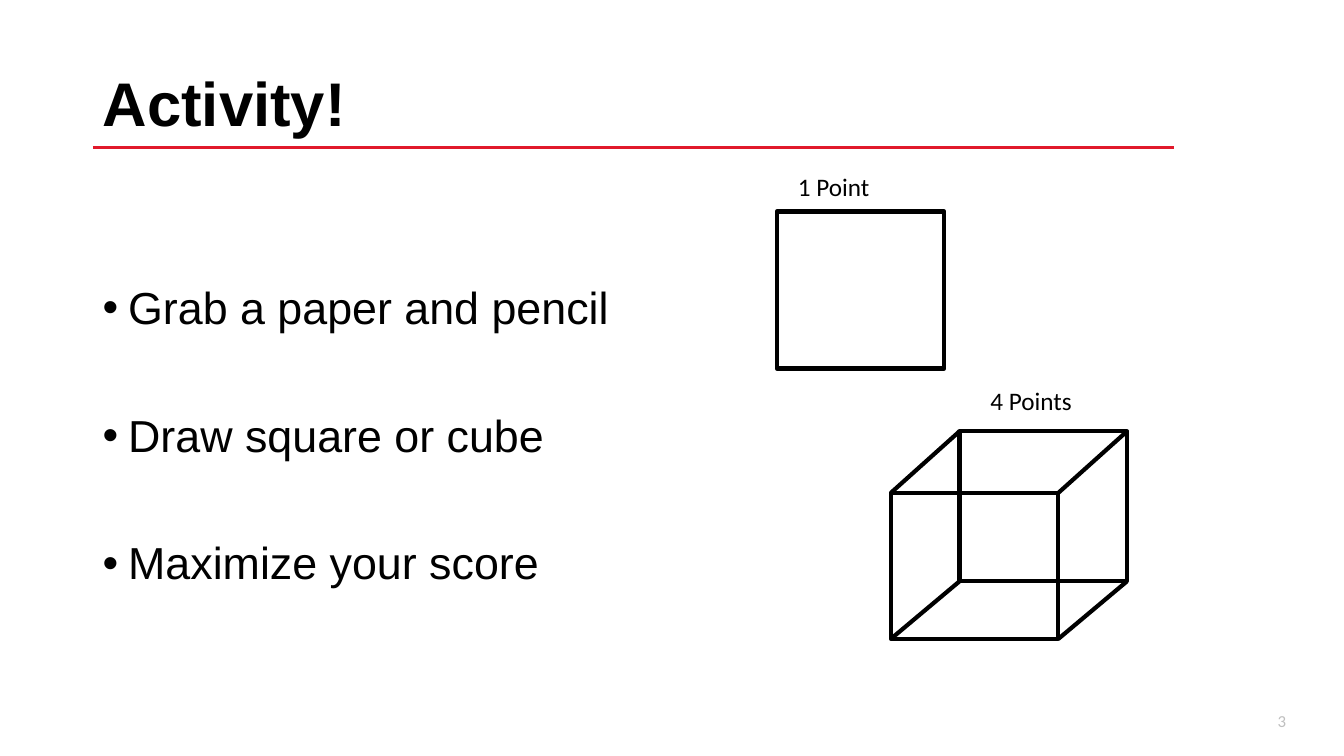
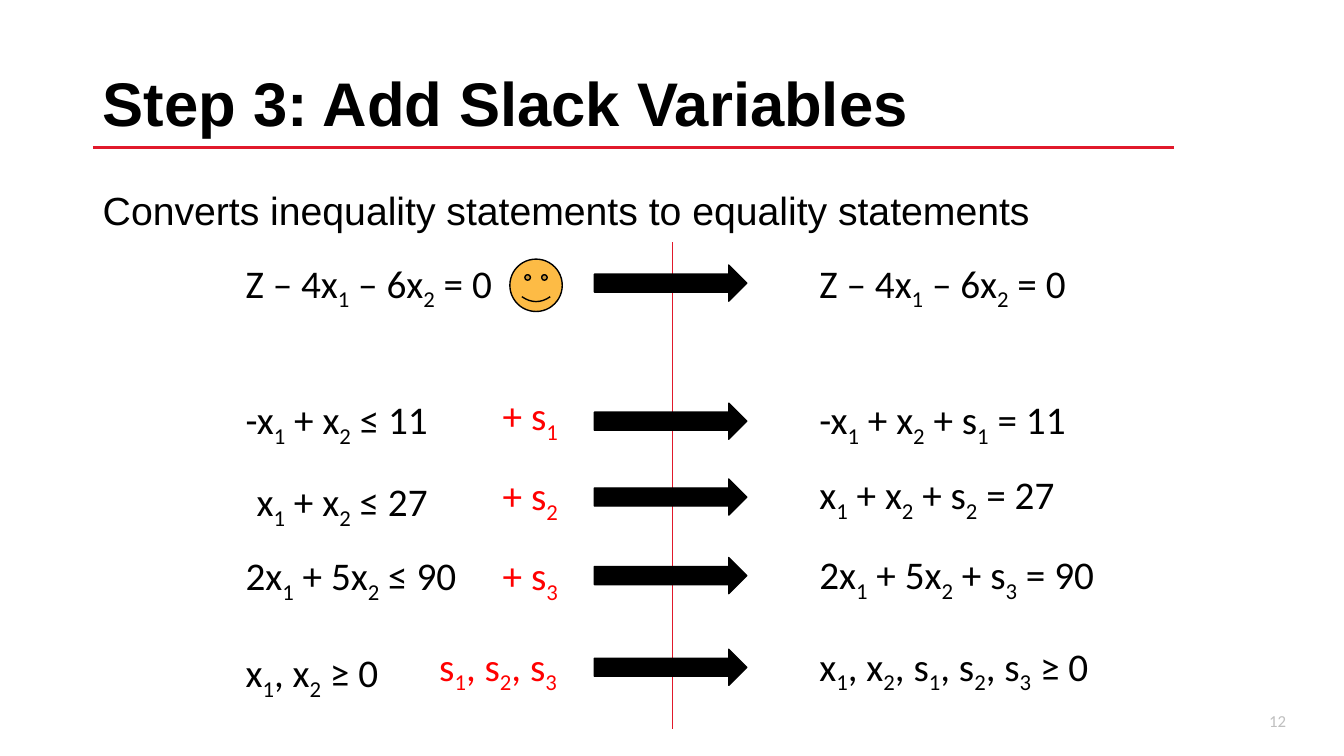
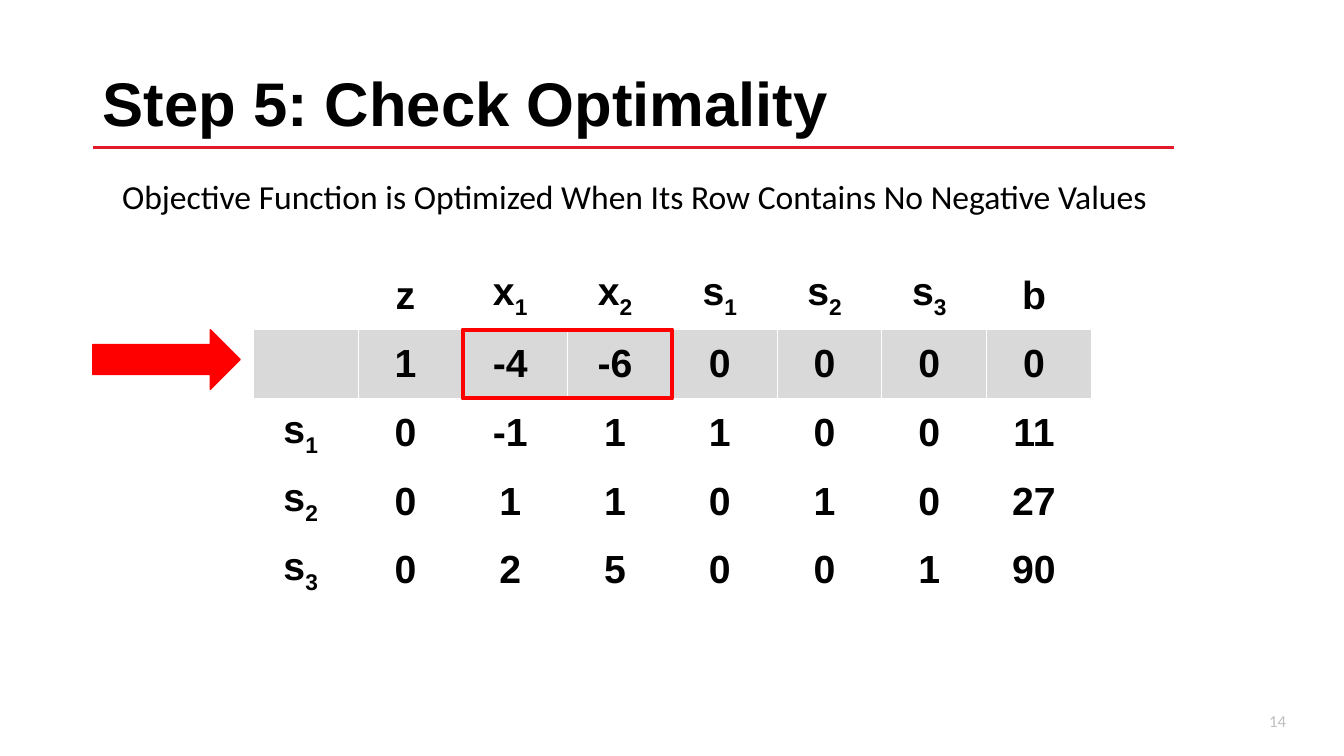
from lxml.etree import SubElement
from pptx import Presentation
from pptx.dml.color import RGBColor
from pptx.enum.shapes import MSO_CONNECTOR, MSO_SHAPE
from pptx.enum.text import MSO_ANCHOR, PP_ALIGN
from pptx.oxml.ns import qn
from pptx.util import Cm, Pt

BLACK, WHITE, RED, GRAY = "000000", "FFFFFF", "FF0000", "D9D9D9"
RULE_RED, FOOTER_GRAY, SMILEY_YELLOW = "E1192B", "BFBFBF", "FDBB45"
HEADING_FONT, BODY_FONT = "Arial", "Calibri"
MARGIN = 2.34


def rgb(color):
    return RGBColor.from_string(color)


def add_runs(paragraph, text, size, font=BODY_FONT, color=BLACK, bold=False):
    """Add text run by run; the character after each underscore is a subscript."""
    first, *rest = text.split("_")
    pieces = [(first, False)]
    for piece in rest:
        pieces += [(piece[0], True), (piece[1:], False)]
    for content, subscript in pieces:
        if not content:
            continue
        run = paragraph.add_run()
        run.text = content
        run.font.size = Pt(size)
        run.font.name = font
        run.font.bold = bold
        run.font.color.rgb = rgb(color)
        if subscript:
            run.font._element.set("baseline", "-25000")


def add_text(slide, box, text, size, anchor=MSO_ANCHOR.TOP, align=PP_ALIGN.LEFT,
             line_spacing=None, **style):
    frame = slide.shapes.add_textbox(*map(Cm, box)).text_frame
    frame.word_wrap = True
    frame.vertical_anchor = anchor
    paragraph = frame.paragraphs[0]
    paragraph.alignment = align
    paragraph.line_spacing = line_spacing
    add_runs(paragraph, text, size, **style)


def add_bullets(slide, box, items, size, gap):
    frame = slide.shapes.add_textbox(*map(Cm, box)).text_frame
    frame.word_wrap = True
    for index, item in enumerate(items):
        paragraph = frame.add_paragraph() if index else frame.paragraphs[0]
        paragraph.line_spacing = 0.9
        paragraph.space_after = Pt(gap)
        properties = paragraph._p.get_or_add_pPr()
        indent = Cm(0.64)
        properties.set("marL", str(indent))
        properties.set("indent", str(-indent))
        SubElement(properties, qn("a:buFont")).set("typeface", HEADING_FONT)
        SubElement(properties, qn("a:buChar")).set("char", "•")
        add_runs(paragraph, item, size, HEADING_FONT)


def add_figure(slide, kind, box, fill=None, line=BLACK, width=1):
    shape = slide.shapes.add_shape(kind, *map(Cm, box))
    shape.shadow.inherit = False
    if fill:
        shape.fill.solid()
        shape.fill.fore_color.rgb = rgb(fill)
    else:
        shape.fill.background()
    shape.line.color.rgb = rgb(line)
    shape.line.width = Pt(width)


def add_line(slide, start, end, color=BLACK, width=3):
    connector = slide.shapes.add_connector(
        MSO_CONNECTOR.STRAIGHT, *map(Cm, (*start, *end)))
    connector.line.color.rgb = rgb(color)
    connector.line.width = Pt(width)
    SubElement(connector._element.spPr, qn("a:effectLst"))


def add_cell_borders(cell, color, width):
    properties = cell._tc.get_or_add_tcPr()
    for side in ("a:lnL", "a:lnR", "a:lnT", "a:lnB"):
        border = SubElement(properties, qn(side))
        border.set("w", str(Pt(width)))
        fill = SubElement(border, qn("a:solidFill"))
        SubElement(fill, qn("a:srgbClr")).set("val", color)


def add_tableau(slide, left, top, column_width, row_height, rows, shaded_row):
    row_count, column_count = len(rows), len(rows[0])
    table = slide.shapes.add_table(
        row_count, column_count, Cm(left), Cm(top),
        Cm(column_width * column_count), Cm(row_height * row_count)).table
    table.first_row = table.horz_banding = False
    for column in table.columns:
        column.width = Cm(column_width)
    for row_index, values in enumerate(rows):
        table.rows[row_index].height = Cm(row_height)
        for column_index, value in enumerate(values):
            cell = table.cell(row_index, column_index)
            add_cell_borders(cell, WHITE, 0.6)
            cell.fill.solid()
            cell.fill.fore_color.rgb = rgb(GRAY if row_index == shaded_row else WHITE)
            cell.vertical_anchor = MSO_ANCHOR.MIDDLE
            cell.margin_right = Cm(0.5)
            paragraph = cell.text_frame.paragraphs[0]
            paragraph.alignment = PP_ALIGN.CENTER
            add_runs(paragraph, value, 28, HEADING_FONT, bold=True)


def add_titled_slide(presentation, title, number):
    """Add a slide with the shared title, red rule and slide number."""
    slide = presentation.slides.add_slide(presentation.slide_layouts[6])
    add_line(slide, (MARGIN, 3.71), (29.59, 3.71), RULE_RED, 2)
    add_text(slide, (MARGIN, 0.84, 29.21, 3.68), title, 44, MSO_ANCHOR.MIDDLE,
             line_spacing=0.9, font=HEADING_FONT, bold=True)
    add_text(slide, (25.04, 17.65, 7.62, 1.02), str(number), 12, MSO_ANCHOR.MIDDLE,
             PP_ALIGN.RIGHT, color=FOOTER_GRAY)
    return slide


def corners(box):
    left, top, width, height = box
    return [(x, y) for x in (left, left + width) for y in (top, top + height)]


def build_activity(presentation):
    slide = add_titled_slide(presentation, "Activity!", 3)
    add_bullets(slide, (MARGIN, 7.08, 17.53, 8.5),
                ["Grab a paper and pencil", "Draw square or cube", "Maximize your score"],
                size=32, gap=56.5)
    square = (19.58, 5.33, 4.22, 3.96)
    cube_back = (24.18, 10.87, 4.22, 3.78)
    cube_front = (22.45, 12.42, 4.22, 3.68)
    for box in (square, cube_back, cube_front):
        add_figure(slide, MSO_SHAPE.RECTANGLE, box, width=3)
    for start, end in zip(corners(cube_front), corners(cube_back)):
        add_line(slide, start, end)
    add_text(slide, (19.86, 4.19, 3.68, 1.02), "1 Point", 18)
    add_text(slide, (24.71, 9.58, 3.68, 1.02), "4 Points", 18)


def build_slack_variables(presentation):
    slide = add_titled_slide(presentation, "Step 3: Add Slack Variables", 12)
    add_text(slide, (MARGIN, 4.7, 29.21, 1.4),
             "Converts inequality statements to equality statements", 28,
             line_spacing=0.9, font=HEADING_FONT)
    add_line(slide, (16.94, 6.1), (16.94, 18.36), RULE_RED, 0.5)
    add_figure(slide, MSO_SHAPE.SMILEY_FACE, (12.85, 6.53, 1.32, 1.32), SMILEY_YELLOW)

    inequalities = [(5.94, 6.4, "Z – 4x_1 – 6x_2 = 0"), (5.94, 9.83, "-x_1 + x_2 ≤ 11"),
                    (6.22, 11.91, "x_1 + x_2 ≤ 27"), (5.94, 13.77, "2x_1 + 5x_2 ≤ 90"),
                    (5.94, 16.21, "x_1, x_2 ≥ 0")]
    slacks = [(12.42, 9.73, "+ s_1"), (12.42, 11.76, "+ s_2"), (12.42, 13.77, "+ s_3"),
              (10.82, 16.05, "s_1, s_2, s_3")]
    equalities = [(6.4, "Z – 4x_1 – 6x_2 = 0"), (9.83, "-x_1 + x_2 + s_1 = 11"),
                  (11.73, "x_1 + x_2 + s_2 = 27"), (13.74, "2x_1 + 5x_2 + s_3 = 90"),
                  (16.05, "x_1, x_2, s_1, s_2, s_3 ≥ 0")]
    for left, top, text in inequalities:
        add_text(slide, (left, top, 12.29, 1.45), text, 28)
    for left, top, text in slacks:
        add_text(slide, (left, top, 4.06, 1.45), text, 28, color=RED)
    for top, text in equalities:
        add_text(slide, (20.4, top, 12.29, 1.45), text, 28)
    for top in (6.68, 10.16, 12.07, 14.05, 16.36):
        add_figure(slide, MSO_SHAPE.RIGHT_ARROW, (14.98, top, 3.84, 0.91), BLACK)


def build_optimality(presentation):
    slide = add_titled_slide(presentation, "Step 5: Check Optimality", 14)
    left, top, column_width, row_height = 6.38, 6.58, 2.64, 1.73
    objective_row = 1
    rows = [["", "z", "x_1", "x_2", "s_1", "s_2", "s_3", "b"],
            ["", "1", "-4", "-6", "0", "0", "0", "0"],
            ["s_1", "0", "-1", "1", "1", "0", "0", "11"],
            ["s_2", "0", "1", "1", "0", "1", "0", "27"],
            ["s_3", "0", "2", "5", "0", "0", "1", "90"]]
    add_tableau(slide, left, top, column_width, row_height, rows, objective_row)
    objective_top = top + objective_row * row_height
    add_figure(slide, MSO_SHAPE.RIGHT_ARROW, (MARGIN, objective_top, 3.71, 1.5), RED, RED)
    add_text(slide, (MARGIN, 4.32, 27.3, 1.27),
             "Objective Function is Optimized When Its Row Contains No Negative Values",
             24, align=PP_ALIGN.CENTER)
    negative_values = (left + 2 * column_width, objective_top, 2 * column_width, row_height)
    add_figure(slide, MSO_SHAPE.RECTANGLE, negative_values, line=RED, width=3)


def main():
    presentation = Presentation()
    presentation.slide_width = Cm(33.87)
    presentation.slide_height = Cm(19.05)
    build_activity(presentation)
    build_slack_variables(presentation)
    build_optimality(presentation)
    presentation.save("out.pptx")


if __name__ == "__main__":
    main()
